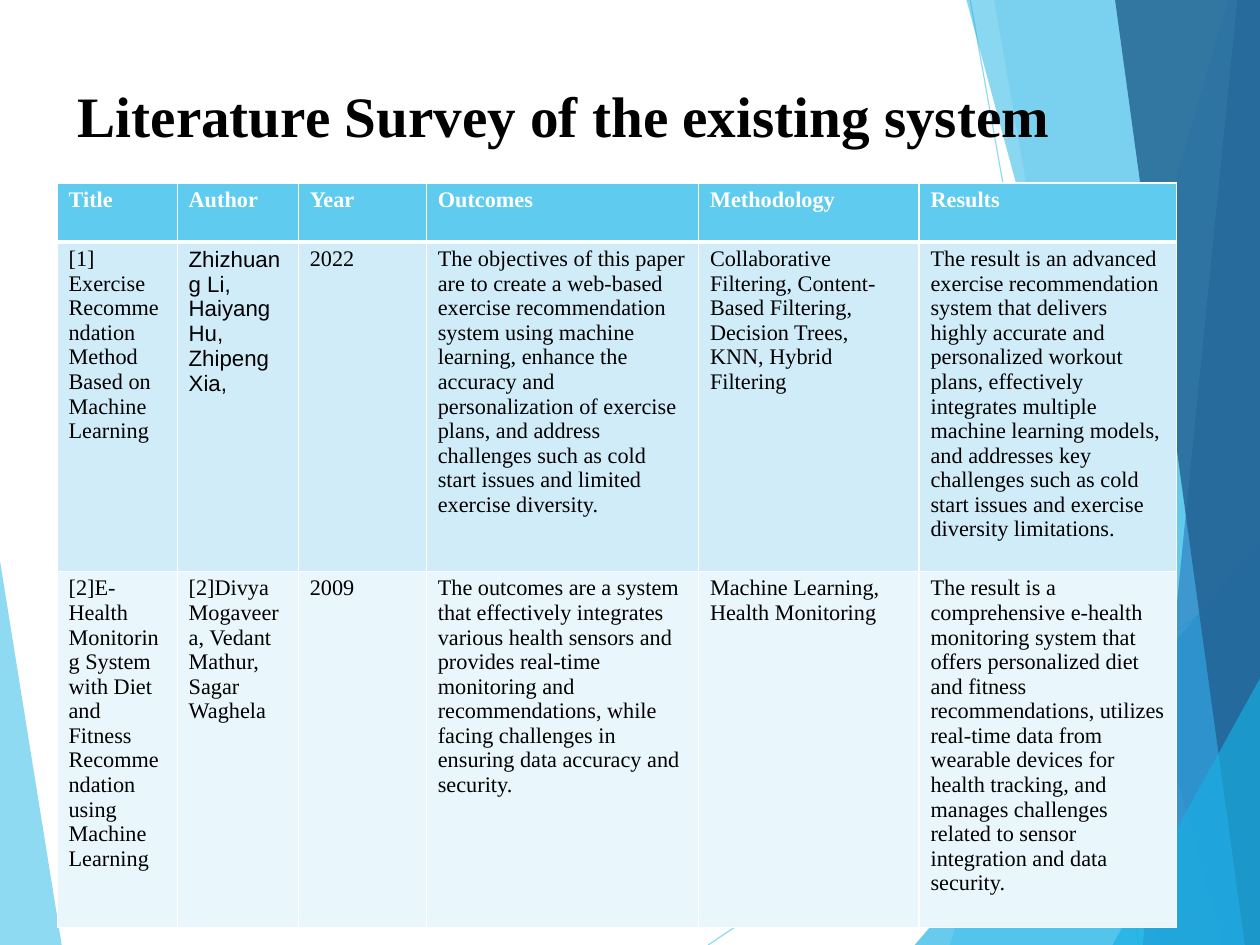
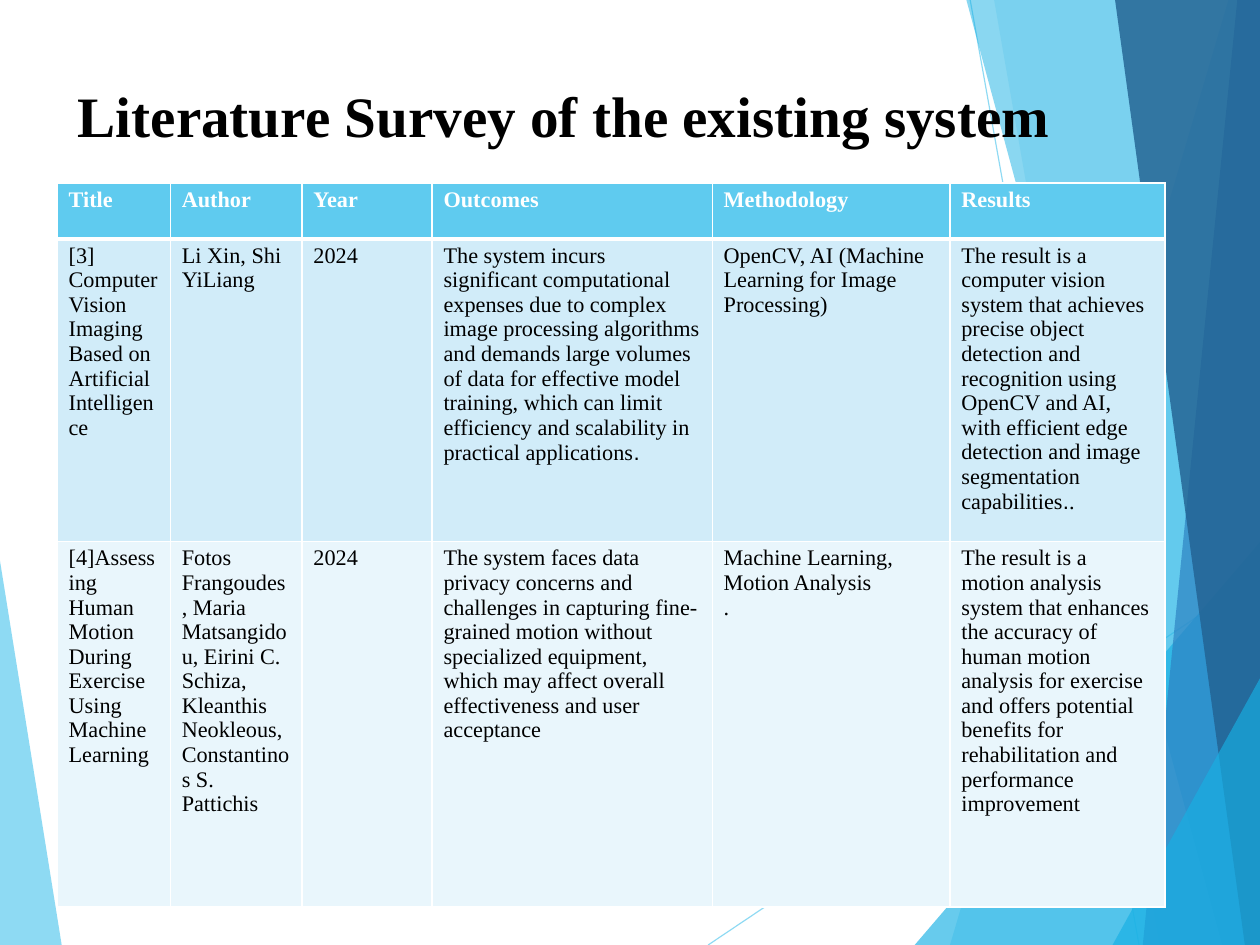
from lxml.etree import SubElement
from pptx import Presentation
from pptx.dml.color import RGBColor
from pptx.enum.shapes import MSO_CONNECTOR as Link
from pptx.enum.text import MSO_ANCHOR as Anchor
from pptx.oxml.ns import qn
from pptx.util import Cm, Inches, Pt

WIDE, HIGH = Cm(28), Cm(21)
SERIF, SANS = "Times New Roman", "Arial"
BLACK = RGBColor(0x00, 0x00, 0x00)
WHITE = RGBColor(0xFF, 0xFF, 0xFF)
SKY = RGBColor(0x5F, 0xCB, 0xEF)
AQUA = RGBColor(0x17, 0xB0, 0xE4)
BLUE = RGBColor(0x2E, 0x83, 0xC3)
NAVY = RGBColor(0x23, 0x62, 0x92)
PALE = RGBColor(0xD1, 0xEC, 0xF9)
MIST = RGBColor(0xE9, 0xF6, 0xFC)

LEFT = [(SKY, 70, [(-0.1, 58.5), (4.9, 100), (-0.1, 100)])]
RAYS = [((56.2, 100), (100, 60.8)), ((77, 0), (90.4, 100))]
RIGHT = [
    (SKY, 36, [(97.5, 0), (75.4, 100), (100.1, 100), (100.1, 0)]),
    (SKY, 20, [(78.9, 0), (92, 100), (100.1, 100), (100.1, 0)]),
    (AQUA, 65, [(72.6, 100), (100.1, 57.2), (100.1, 100)]),
    (AQUA, 50, [(76.7, 0), (97, 100), (100.1, 100), (100.1, 0)]),
    (BLUE, 70, [(98.2, 0), (90.7, 100), (100.1, 100), (100.1, 0)]),
    (NAVY, 82, [(88.5, 0), (98.8, 100), (100.1, 100), (100.1, 0)]),
    (AQUA, 65, [(88.3, 100), (100.2, 71.3), (100.2, 100)]),
]

TITLE = "Literature Survey of the existing system"
HEAD = ["Title", "Author", "Year", "Outcomes", "Methodology", "Results"]
PAGES = [
    ([9.53, 9.62, 10.16, 21.6, 17.51, 20.42], [6.29, 32.77, 35.43], 78.72, [
        ["[1] Exercise Recommendation Method Based on Machine Learning",
         [("Zhizhuang Li, Haiyang Hu, Zhipeng Xia,", SANS)],
         "2022",
         "The objectives of this paper are to create a web-based exercise "
         "recommendation system using machine learning, enhance the accuracy "
         "and personalization of exercise plans, and address challenges such "
         "as cold start issues and limited exercise diversity.",
         "Collaborative Filtering, Content-Based Filtering, Decision Trees, "
         "KNN, Hybrid Filtering",
         "The result is an advanced exercise recommendation system that "
         "delivers highly accurate and personalized workout plans, "
         "effectively integrates multiple machine learning models, and "
         "addresses key challenges such as cold start issues and exercise "
         "diversity limitations."],
        ["[2]E-Health Monitoring System with Diet and Fitness Recommendation "
         "using Machine Learning",
         "[2]Divya Mogaveera, Vedant Mathur, Sagar Waghela",
         "2009",
         "The outcomes are a system that effectively integrates various "
         "health sensors and provides real-time monitoring and "
         "recommendations, while facing challenges in ensuring data accuracy "
         "and security.",
         "Machine Learning, Health Monitoring",
         "The result is a comprehensive e-health monitoring system that "
         "offers personalized diet and fitness recommendations, utilizes "
         "real-time data from wearable devices for health tracking, and "
         "manages challenges related to sensor integration and data "
         "security."]]),
    ([8.98, 10.45, 10.33, 22.23, 18.87, 17.06], [5.93, 31.2, 38.69], 76.66, [
        ["[3] Computer Vision Imaging Based on Artificial Intelligence",
         "Li Xin, Shi YiLiang",
         "2024",
         [("The system incurs significant computational expenses due to "
           "complex image processing algorithms and demands large volumes of "
           "data for effective model training, which can limit efficiency "
           "and scalability in practical applications", SERIF), (".", SANS)],
         "OpenCV, AI (Machine Learning for Image Processing)",
         [("The result is a computer vision system that achieves precise "
           "object detection and recognition using OpenCV and AI, with "
           "efficient edge detection and image segmentation capabilities",
           SERIF), (".", SANS), (".", SERIF)]],
        ["[4]Assessing Human Motion During Exercise Using Machine Learning",
         "Fotos Frangoudes, Maria Matsangidou, Eirini C. Schiza, Kleanthis "
         "Neokleous, Constantinos S. Pattichis",
         "2024",
         "The system faces data privacy concerns and challenges in capturing "
         "fine-grained motion without specialized equipment, which may "
         "affect overall effectiveness and user acceptance",
         "Machine Learning, Motion Analysis\n.",
         "The result is a motion analysis system that enhances the accuracy "
         "of human motion analysis for exercise and offers potential "
         "benefits for rehabilitation and performance improvement"]]),
]


def spot(x, y):
    """Turn percentages of the slide into a point."""
    return round(WIDE * x / 100), round(HIGH * y / 100)


def fade(shape, share):
    """Make the one colour of a shape opaque by a percentage."""
    tint = shape.element.spPr.find(".//" + qn("a:srgbClr"))
    SubElement(tint, qn("a:alpha"), val=str(share * 1000))


def style(run, face, size, color, bold):
    """Format one run."""
    font = run.font
    font.name, font.size, font.bold = face, Pt(size), bold
    font.color.rgb = color


def facets(slide, parts):
    """Draw see-through polygons."""
    for color, share, marks in parts:
        first, *rest = [spot(*mark) for mark in marks]
        pen = slide.shapes.build_freeform(*first)
        pen.add_line_segments(rest, close=True)
        shape = pen.convert_to_shape()
        shape.shadow.inherit = False
        shape.line.fill.background()
        shape.fill.solid()
        shape.fill.fore_color.rgb = color
        fade(shape, share)


def rays(slide):
    """Draw the thin lines behind the right band."""
    for start, end in RAYS:
        line = slide.shapes.add_connector(
            Link.STRAIGHT, *spot(*start), *spot(*end))
        line.line.color.rgb = SKY
        line.line.width = Pt(0.75)
        fade(line, 70)
        SubElement(line.element.spPr, qn("a:effectLst"))


def title(slide, x, y, w, h):
    """Write the slide title in a box."""
    frame = slide.shapes.add_textbox(*spot(x, y), *spot(w, h)).text_frame
    frame.word_wrap = True
    frame.vertical_anchor = Anchor.MIDDLE
    frame.margin_left, frame.margin_top = Inches(0.13), Inches(0.03)
    frame.margin_right = frame.margin_bottom = 0
    para = frame.paragraphs[0]
    para.text = TITLE
    para.line_spacing = 0.93
    style(para.runs[0], SERIF, 36, BLACK, True)


def border(cell):
    """Rule a heading cell in white, thick at the bottom."""
    props = cell._tc.get_or_add_tcPr()
    for side, width in zip("LRTB", (1, 1, 1, 3)):
        line = SubElement(props, qn("a:ln" + side), w=str(Pt(width)))
        fill = SubElement(line, qn("a:solidFill"))
        SubElement(fill, qn("a:srgbClr"), val=str(WHITE))


def entry(cell, item, fill, color, bold):
    """Fill one table cell with plain text or with runs and their fonts."""
    cell.fill.solid()
    cell.fill.fore_color.rgb = fill
    cell.margin_left = cell.margin_right = Inches(0.1)
    cell.margin_top = cell.margin_bottom = Inches(0.04)
    parts = [(item, SERIF)] if isinstance(item, str) else item
    frame = cell.text_frame
    frame.text = parts[0][0]
    for text, _ in parts[1:]:
        frame.paragraphs[0].add_run().text = text
    for para in frame.paragraphs:
        for run, (_, face) in zip(para.runs, parts):
            style(run, face, 14, color, bold)


def survey(slide, x, y, cols, rows, tall, body):
    """Place the survey table with its corner at a point."""
    frame = slide.shapes.add_table(
        len(rows), len(cols), *spot(x, y), *spot(sum(cols), tall))
    table = frame.table
    table.horz_banding = False
    for col, share in zip(table.columns, cols):
        col.width = round(WIDE * share / 100)
    for row, share in zip(table.rows, rows):
        row.height = round(HIGH * share / 100)
    frame.height = round(HIGH * tall / 100)
    for cell in table.rows[0].cells:
        border(cell)
    looks = [(SKY, WHITE, True), (PALE, BLACK, False), (MIST, BLACK, False)]
    for row, items, look in zip(table.rows, [HEAD, *body], looks):
        for cell, item in zip(row.cells, items):
            entry(cell, item, *look)


def page(deck, cols, rows, tall, body):
    """Add one survey slide."""
    slide = deck.slides.add_slide(deck.slide_layouts[6])
    facets(slide, LEFT)
    rays(slide)
    facets(slide, RIGHT)
    title(slide, 5, 4, 90, 16.7)
    survey(slide, 4.54, 19.35, cols, rows, tall, body)


def main():
    """Build and save the deck."""
    deck = Presentation()
    deck.slide_width, deck.slide_height = WIDE, HIGH
    for part in PAGES:
        page(deck, *part)
    deck.save("out.pptx")


if __name__ == "__main__":
    main()
